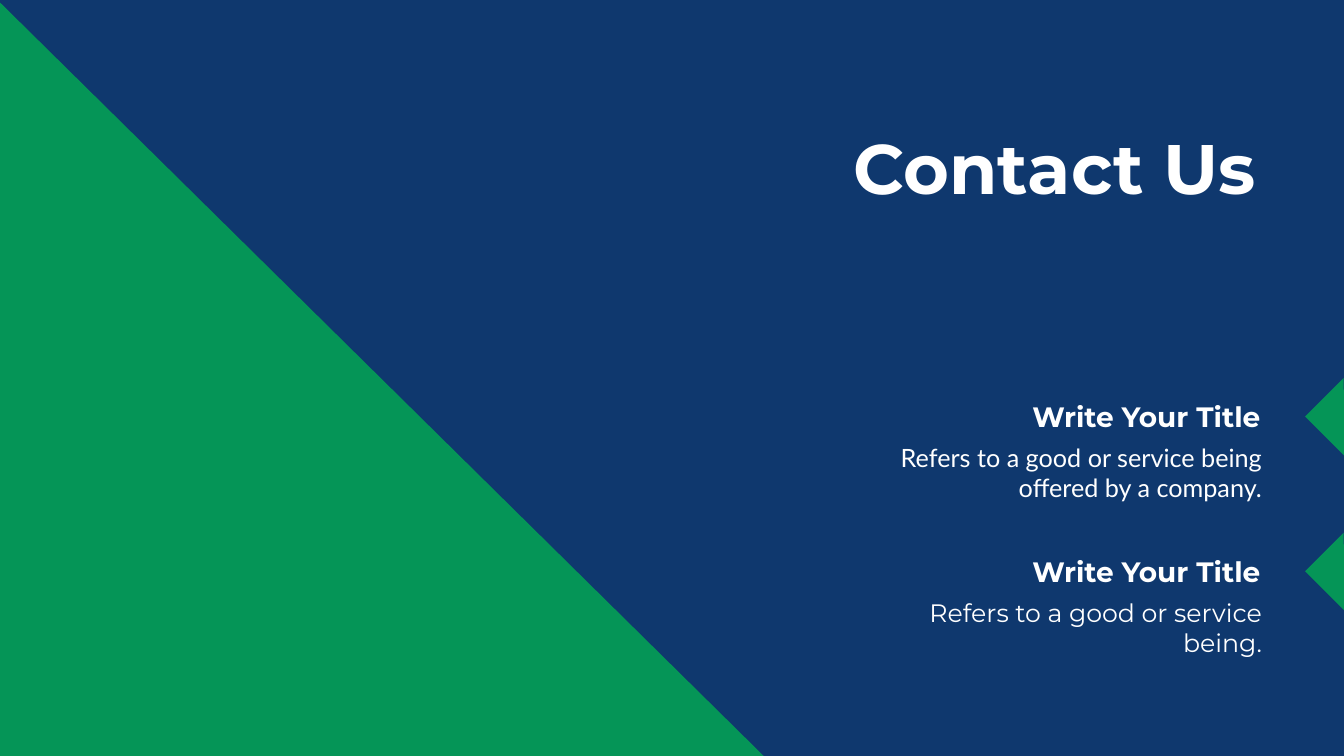
from pptx import Presentation
from pptx import util as u
from pptx.dml.color import RGBColor
from pptx.enum import shapes, text

WIDE, HIGH = 26.66, 15
THEME = {
    "navy": "0F386E", "green": "059557", "white": "FFFFFF",
    "head": "Montserrat", "big": 100, "mid": 40, "small": 36,
}
TITLE = "Contact Us"
ITEMS = [
    ("Write Your Title", "Refers to a good or service being offered by a company.", "Lato"),
    ("Write Your Title", "Refers to a good or service being.", "Montserrat"),
]
TOP, STEP = 7.88, 3.07

deck = Presentation()
deck.slide_width, deck.slide_height = u.Inches(WIDE), u.Inches(HIGH)
slide = deck.slides.add_slide(deck.slide_layouts[6])


def add_form(kind, box, fill, turn=0):
    form = slide.shapes.add_shape(kind, *map(u.Inches, box))
    form.shadow.inherit = False
    form.fill.solid()
    form.fill.fore_color.rgb = RGBColor.from_string(THEME[fill])
    form.line.fill.background()
    form.rotation = turn


def add_words(words, box, size, face, bold=False, pad=(0.1, 0.05)):
    frame = slide.shapes.add_textbox(*map(u.Inches, box)).text_frame
    frame.word_wrap = True
    frame.auto_size = text.MSO_AUTO_SIZE.SHAPE_TO_FIT_TEXT
    frame.margin_left = frame.margin_right = u.Inches(pad[0])
    frame.margin_top = frame.margin_bottom = u.Inches(pad[1])
    frame.text = words
    line = frame.paragraphs[0]
    line.alignment = text.PP_ALIGN.RIGHT
    font = line.runs[0].font
    font.name, font.size, font.bold = face, u.Pt(THEME[size]), bold
    font.color.rgb = RGBColor.from_string(THEME["white"])


kinds = shapes.MSO_SHAPE
add_form(kinds.RECTANGLE, (0, 0, WIDE, HIGH), "navy")
add_form(kinds.RIGHT_TRIANGLE, (0, 0.05, 15.15, 14.95), "green")

for row, (head, body, face) in enumerate(ITEMS):
    top = TOP + row * STEP
    add_words(body, (16.55, top + 0.78, 8.72, 1.45), "small", face, pad=(0.24, 0.12))
    add_words(head, (19.43, top, 5.67, 0.77), "mid", THEME["head"], True)
    add_form(kinds.RIGHT_TRIANGLE, (26.11, top - 0.15, 1.1, 1.08), "green", 45)

add_words(TITLE, (16.55, 2.43, 8.46, 1.78), "big", THEME["head"], True)

deck.save("out.pptx")
